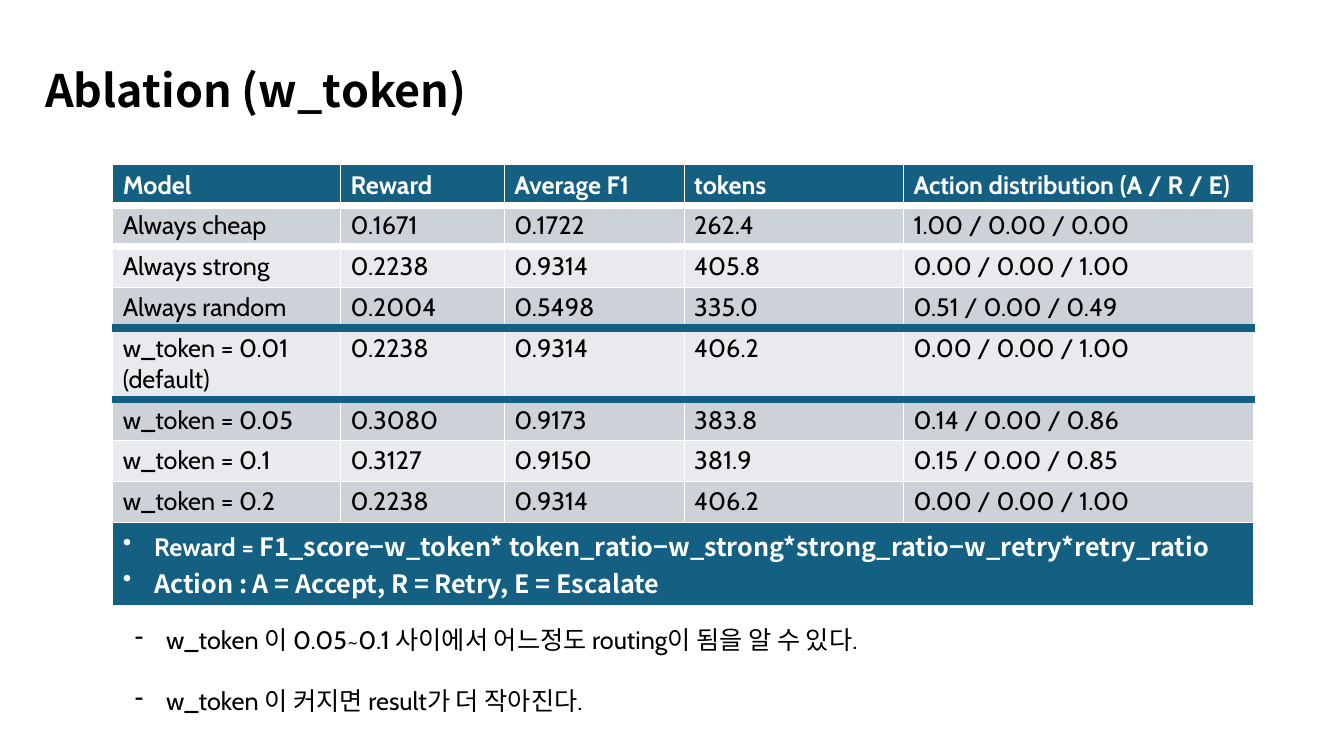
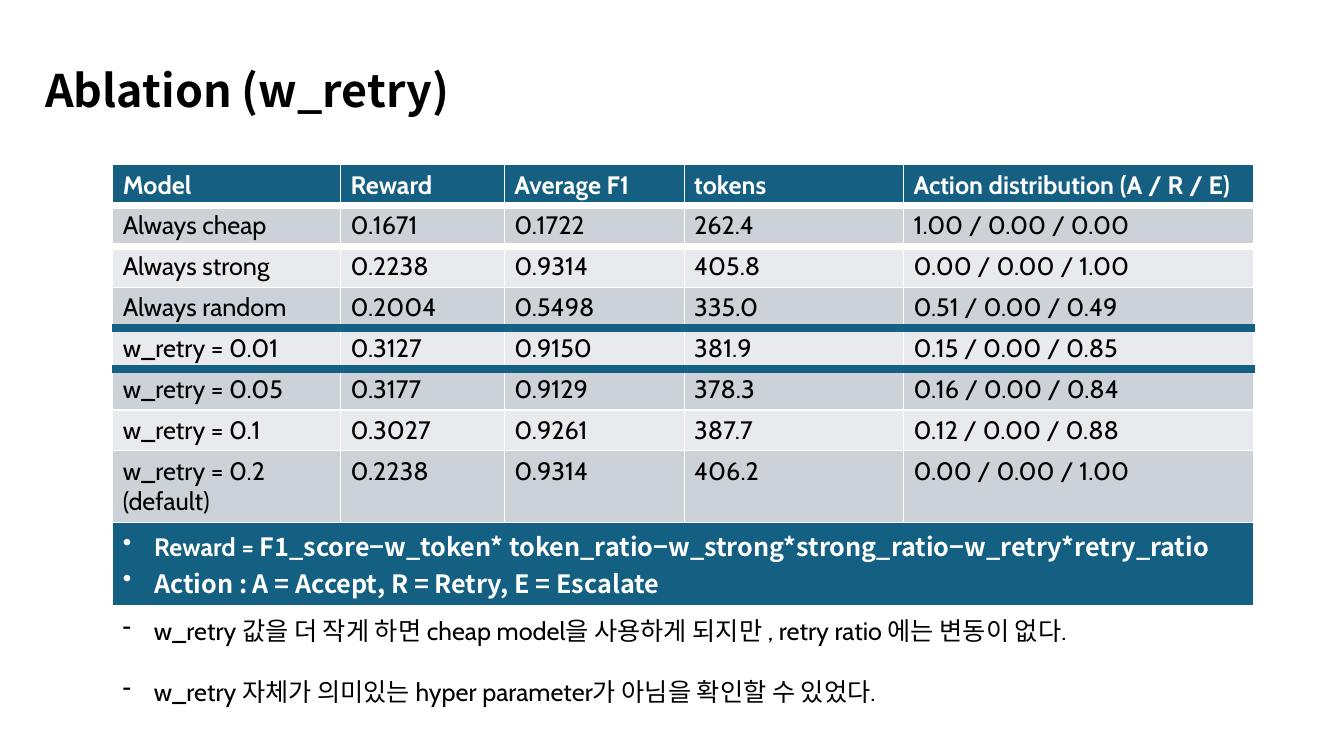
import pptx
import pptx.dml.color
import pptx.enum.text
import pptx.oxml.ns
import pptx.util
from lxml import etree
from pptx.util import Cm

# Colours
BLACK = pptx.dml.color.RGBColor(0x00, 0x00, 0x00)
WHITE = pptx.dml.color.RGBColor(0xFF, 0xFF, 0xFF)
HEADER_TEAL = pptx.dml.color.RGBColor(0x15, 0x60, 0x82)
RULE_TEAL = pptx.dml.color.RGBColor(0x14, 0x60, 0x82)
BAND_DARK = pptx.dml.color.RGBColor(0xCC, 0xD2, 0xD8)
BAND_LIGHT = pptx.dml.color.RGBColor(0xE8, 0xEA, 0xED)

# Text formats
BODY_SIZE = pptx.util.Pt(18)
TITLE = {"name": "Noto Sans CJK KR", "size": pptx.util.Pt(32), "bold": True, "color": BLACK}
BODY = {"name": "Cabin", "size": BODY_SIZE, "bold": False, "color": BLACK}
HEADER = {**BODY, "bold": True, "color": WHITE}
FORMULA = {**HEADER, "name": "Noto Sans CJK KR"}

# Table layout
COLUMN_WIDTHS = [5.74, 4.13, 4.53, 5.53, 8.83]
LINE_ROW, TWO_LINE_ROW, LEGEND_ROW = 1.03, 1.8, 2.09
HEAVY_RULES = {0: WHITE, 1: WHITE, 3: RULE_TEAL, 4: RULE_TEAL}  # below these rows

# Rows that both tables share
COLUMN_HEADS = ["Model", "Reward", "Average F1", "tokens", "Action distribution (A / R / E)"]
BASELINES = [
    ["Always cheap", "0.1671", "0.1722", "262.4", "1.00 / 0.00 / 0.00"],
    ["Always strong", "0.2238", "0.9314", "405.8", "0.00 / 0.00 / 1.00"],
    ["Always random", "0.2004", "0.5498", "335.0", "0.51 / 0.00 / 0.49"],
]
LEGEND = [
    [("Reward = ", HEADER),
     ("F1_score−w_token* token_ratio−w_strong*strong_ratio−w_retry*retry_ratio", FORMULA)],
    [("Action : A = Accept, R = Retry, E = Escalate", FORMULA)],
]

# What differs between the slides
SLIDES = [
    {
        "title": "Ablation (w_token)",
        "runs": [
            ["w_token = 0.01\n(default)", "0.2238", "0.9314", "406.2", "0.00 / 0.00 / 1.00"],
            ["w_token = 0.05", "0.3080", "0.9173", "383.8", "0.14 / 0.00 / 0.86"],
            ["w_token = 0.1", "0.3127", "0.9150", "381.9", "0.15 / 0.00 / 0.85"],
            ["w_token = 0.2", "0.2238", "0.9314", "406.2", "0.00 / 0.00 / 1.00"],
        ],
        "notes_at": (3.15, 15.6),
        "notes": ["w_token 이 0.05~0.1 사이에서 어느정도 routing이 됨을 알 수 있다.",
                  "w_token 이 커지면 result가 더 작아진다."],
    },
    {
        "title": "Ablation (w_retry)",
        "runs": [
            ["w_retry = 0.01", "0.3127", "0.9150", "381.9", "0.15 / 0.00 / 0.85"],
            ["w_retry = 0.05", "0.3177", "0.9129", "378.3", "0.16 / 0.00 / 0.84"],
            ["w_retry = 0.1", "0.3027", "0.9261", "387.7", "0.12 / 0.00 / 0.88"],
            ["w_retry = 0.2\n(default)", "0.2238", "0.9314", "406.2", "0.00 / 0.00 / 1.00"],
        ],
        "notes_at": (2.84, 15.37),
        "notes": ["w_retry 값을 더 작게 하면 cheap model을 사용하게 되지만 , retry ratio 에는 변동이 없다.",
                  "w_retry 자체가 의미있는 hyper parameter가 아님을 확인할 수 있었다."],
    },
]


def write_paragraphs(frame, paragraphs, bullet=None):
    """Fill a text frame with paragraphs, each a list of (text, format) spans."""
    for index, spans in enumerate(paragraphs):
        para = frame.paragraphs[0] if index == 0 else frame.add_paragraph()
        if bullet:
            properties = para._p.get_or_add_pPr()
            properties.set("marL", str(Cm(0.79)))
            properties.set("indent", str(-Cm(0.79)))
            etree.SubElement(properties, pptx.oxml.ns.qn("a:buChar"), char=bullet)
        for text, values in spans:
            span = para.add_run()
            span.text = text
            for key, value in values.items():
                if key == "color":
                    span.font.color.rgb = value
                else:
                    setattr(span.font, key, value)


def style_cell(cell, fill, rule_below=None):
    """Fill a cell and draw thin white borders, or a heavy rule below it."""
    properties = cell._tc.get_or_add_tcPr()
    for side in ("lnL", "lnR", "lnB"):
        heavy = side == "lnB" and rule_below is not None
        width = pptx.util.Pt(6 if heavy else 1)
        line = etree.SubElement(properties, pptx.oxml.ns.qn(f"a:{side}"), w=str(width))
        solid = etree.SubElement(line, pptx.oxml.ns.qn("a:solidFill"))
        color = rule_below if heavy else WHITE
        etree.SubElement(solid, pptx.oxml.ns.qn("a:srgbClr"), val=str(color))
    cell.fill.solid()
    cell.fill.fore_color.rgb = fill


deck = pptx.Presentation()
deck.slide_width, deck.slide_height = Cm(33.87), Cm(19.05)

for content in SLIDES:
    page = deck.slides.add_slide(deck.slide_layouts[6])

    # Title
    frame = page.shapes.add_textbox(Cm(1.14), Cm(0.97), Cm(18.29), Cm(1.98)).text_frame
    frame.word_wrap = True
    for margin in ("margin_left", "margin_top", "margin_right", "margin_bottom"):
        setattr(frame, margin, 0)
    write_paragraphs(frame, [[(content["title"], TITLE)]])
    frame.paragraphs[0].line_spacing = pptx.util.Pt(55.5)

    # Results table
    rows = [COLUMN_HEADS, *BASELINES, *content["runs"]]
    heights = [TWO_LINE_ROW if "\n" in row[0] else LINE_ROW for row in rows] + [LEGEND_ROW]
    table = page.shapes.add_table(
        len(heights), len(COLUMN_WIDTHS), Cm(2.84), Cm(4.15),
        Cm(sum(COLUMN_WIDTHS)), Cm(sum(heights))).table
    table.horz_banding = False
    for column, width in zip(table.columns, COLUMN_WIDTHS):
        column.width = Cm(width)
    for table_row, height in zip(table.rows, heights):
        table_row.height = Cm(height)

    for r, row in enumerate(rows):
        band = HEADER_TEAL if r == 0 else BAND_DARK if r % 2 else BAND_LIGHT
        for c, text in enumerate(row):
            cell = table.cell(r, c)
            style_cell(cell, band, HEAVY_RULES.get(r))
            values = HEADER if r == 0 else BODY
            write_paragraphs(cell.text_frame, [[(line, values)] for line in text.split("\n")])

    # Legend row across the table
    legend = table.cell(len(rows), 0)
    legend.merge(table.cell(len(rows), len(COLUMN_WIDTHS) - 1))
    style_cell(legend, RULE_TEAL)
    write_paragraphs(legend.text_frame, LEGEND, bullet="•")

    # Findings
    left, top = content["notes_at"]
    frame = page.shapes.add_textbox(Cm(left), Cm(top), Cm(25.88), Cm(2.57)).text_frame
    frame.word_wrap = True
    frame.auto_size = pptx.enum.text.MSO_AUTO_SIZE.SHAPE_TO_FIT_TEXT
    write_paragraphs(frame, [[(note, BODY)] for note in content["notes"]], bullet="-")
    frame.paragraphs[1].space_before = pptx.util.Pt(22)

deck.save("out.pptx")
